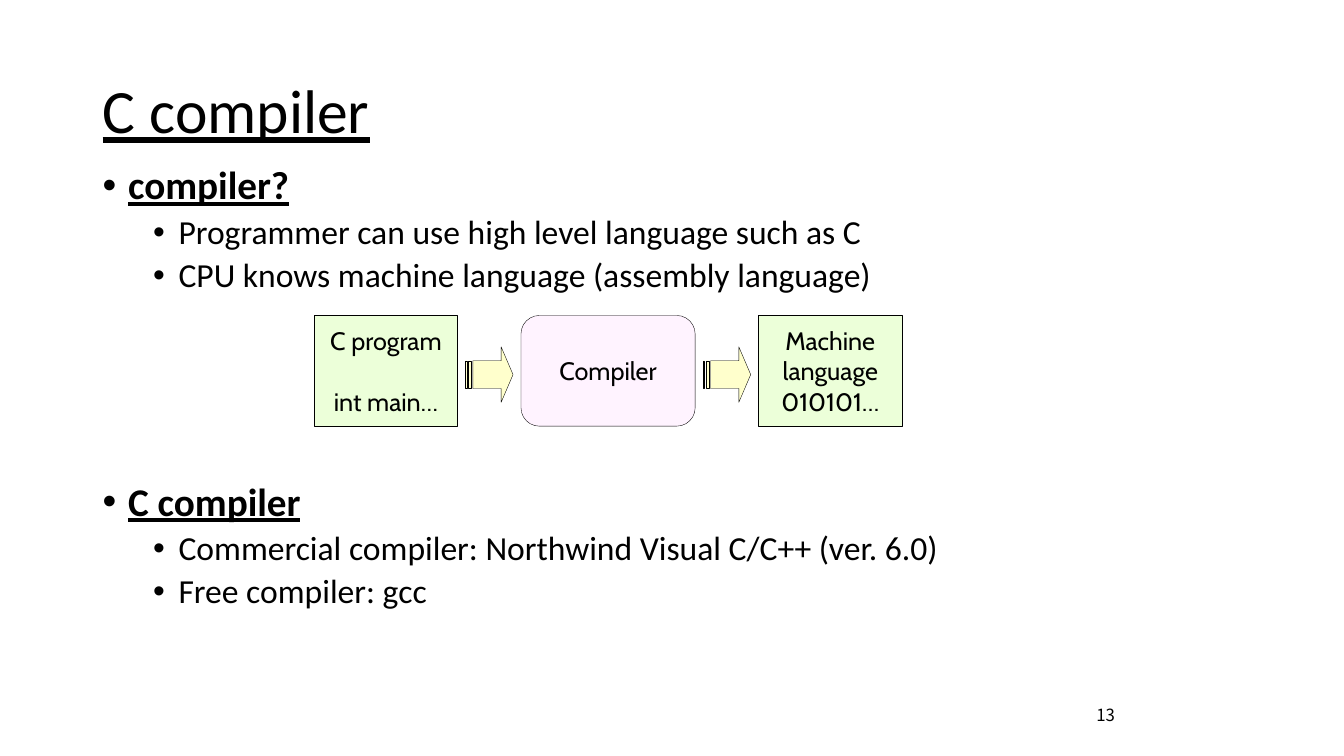
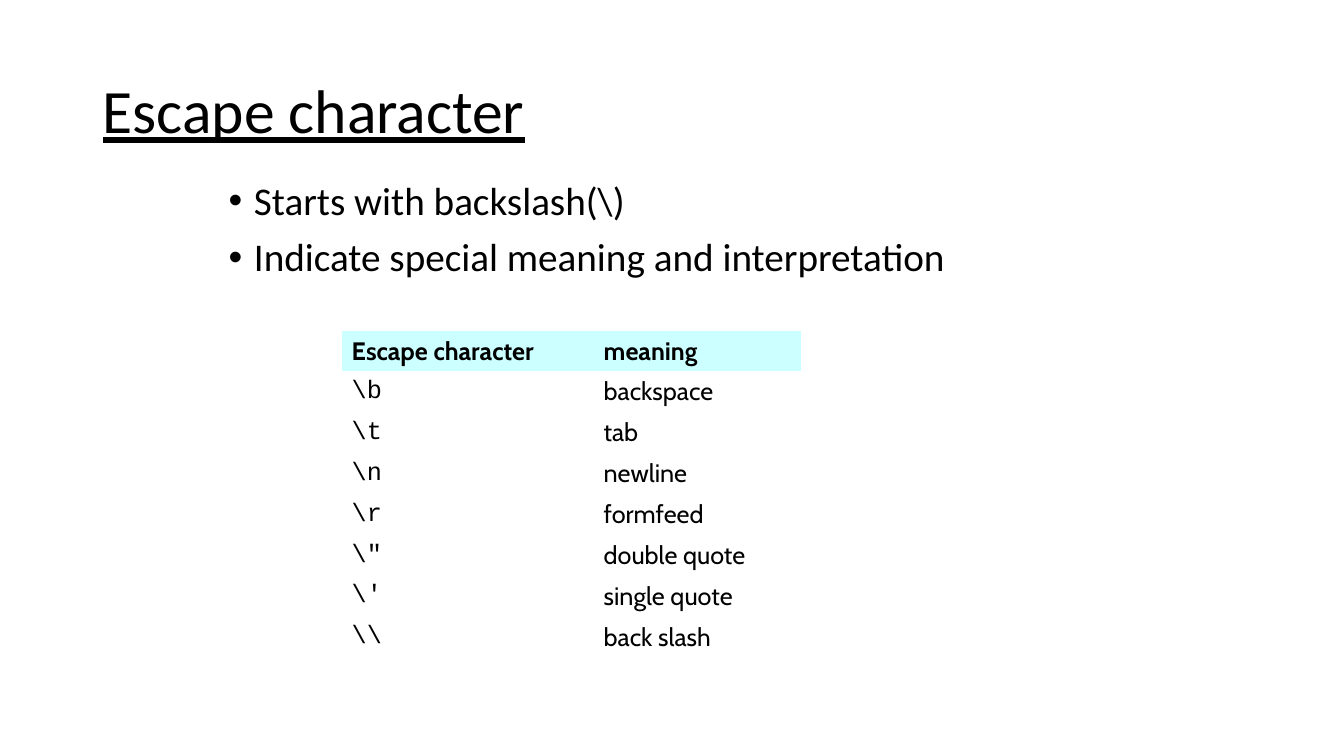
from lxml import etree
from pptx import Presentation
from pptx.dml.color import RGBColor
from pptx.enum import shapes, text
from pptx.oxml.ns import qn
from pptx.util import Cm, Pt

BLACK = RGBColor(0x00, 0x00, 0x00)
GREEN = RGBColor(0xEC, 0xFF, 0xD9)
PINK = RGBColor(0xFF, 0xF3, 0xFF)
YELLOW = RGBColor(0xFF, 0xFF, 0xCC)
CYAN = RGBColor(0xCC, 0xFF, 0xFF)
SANS, LABEL, MONO, NUMBER = "Calibri", "Cabin", "Courier New", "Noto Sans CJK KR"
NO_STYLE = "{2D5ABB26-0587-4C30-8999-92F81FD0307C}"

# Content
HEAD, POINT, DETAIL = "head", "point", "detail"
COMPILER_LISTS = [
    ((2.34, 4.06, 29.21, 3.8), [
        (HEAD, "compiler?"),
        (DETAIL, "Programmer can use high level language such as C"),
        (DETAIL, "CPU knows machine language (assembly language)")]),
    ((2.34, 12.03, 29.21, 4.1), [
        (HEAD, "C compiler"),
        (DETAIL, "Commercial compiler: Northwind Visual C/C++ (ver. 6.0)"),
        (DETAIL, "Free compiler: gcc")]),
]
ESCAPE_LISTS = [
    ((5.51, 4.45, 23.34, 3.4), [
        (POINT, "Starts with backslash(\\)"),
        (POINT, "Indicate special meaning and interpretation")]),
]
# Flow steps: preset, width, fill, lines, space between lines in points
FLOW = [
    ("RECTANGLE", 3.61, GREEN, ["C program", "int main…"], 21.5),
    ("ROUNDED_RECTANGLE", 4.39, PINK, ["Compiler"], 0),
    ("RECTANGLE", 3.61, GREEN, ["Machine", "language", "010101…"], 0),
]
ESCAPES = [
    ("Escape character", "meaning"),
    ("\\b", "backspace"),
    ("\\t", "tab"),
    ("\\n", "newline"),
    ("\\r", "formfeed"),
    ("\\\"", "double quote"),
    ("\\'", "single quote"),
    ("\\\\", "back slash"),
]

# Shared formats
TITLE = dict(name=SANS, size=Pt(44), underline=True)
PAGE = dict(name=NUMBER, size=Pt(12))
BOX = dict(name=LABEL, size=Pt(18))
# List levels: level, left margin in cm, space before in points, font
LEVELS = {
    HEAD: (0, 0.64, 10, dict(name=SANS, size=Pt(28), bold=True, underline=True)),
    POINT: (0, 0.64, 10, dict(name=SANS, size=Pt(28))),
    DETAIL: (1, 1.91, 5, dict(name=SANS, size=Pt(24))),
}


def write(p, words, fmt, **para):
    for key, value in para.items():
        setattr(p, key, value)
    r = p.add_run()
    r.text = words
    for key, value in fmt.items():
        setattr(r.font, key, value)
    r.font.color.rgb = BLACK


def paragraphs(tf, items):
    for i, item in enumerate(items):
        yield i, tf.paragraphs[0] if i == 0 else tf.add_paragraph(), item


def add_box(s, at, anchor=text.MSO_ANCHOR.TOP):
    tf = s.shapes.add_textbox(*map(Cm, at)).text_frame
    tf.word_wrap = True
    tf.vertical_anchor = anchor
    return tf


def add_list(s, at, items):
    for i, p, (kind, words) in paragraphs(add_box(s, at), items):
        level, margin, before, fmt = LEVELS[kind]
        pPr = p._p.get_or_add_pPr()
        pPr.set("marL", str(Cm(margin)))
        pPr.set("indent", str(-Cm(0.64)))
        etree.SubElement(pPr, qn("a:buFont")).set("typeface", "Arial")
        etree.SubElement(pPr, qn("a:buChar")).set("char", "•")
        write(p, words, fmt, level=level, line_spacing=0.9,
              space_before=Pt(before if i else 0))


def add_slide(prs, title, lists):
    s = prs.slides.add_slide(prs.slide_layouts[6])
    tf = add_box(s, (2.34, 1.02, 29.21, 3.68), text.MSO_ANCHOR.MIDDLE)
    write(tf.paragraphs[0], title, TITLE, line_spacing=0.9)
    for at, items in lists:
        add_list(s, at, items)
    return s


def add_outlined(s, preset, at, fill):
    sp = s.shapes.add_shape(getattr(shapes.MSO_SHAPE, preset), *map(Cm, at))
    sp.shadow.inherit = False
    sp.fill.solid()
    sp.fill.fore_color.rgb = fill
    sp.line.color.rgb = BLACK
    sp.line.width = Pt(0.25)
    return sp


def add_flow(s, x=7.92, y=7.95, height=2.79, gap=1.6):
    arrow_w, arrow_h = 1.2, 1.4
    for n, (preset, width, fill, lines, space) in enumerate(FLOW):
        if n:
            arrow_x = x - (gap + arrow_w) / 2
            add_outlined(s, "STRIPED_RIGHT_ARROW",
                         (arrow_x, y + 0.79, arrow_w, arrow_h),
                         YELLOW).adjustments[1] = 0.25
        tf = add_outlined(s, preset, (x, y, width, height), fill).text_frame
        tf.word_wrap = False
        tf.vertical_anchor = text.MSO_ANCHOR.MIDDLE
        for i, p, line in paragraphs(tf, lines):
            write(p, line, BOX, alignment=text.PP_ALIGN.CENTER,
                  space_before=Pt(space if i else 0))
        x += width + gap


def add_escape_table(s, x=8.61, y=8.33, widths=(6.35, 5.23), row_h=1.03):
    table = s.shapes.add_table(
        len(ESCAPES), len(widths), Cm(x), Cm(y),
        Cm(sum(widths)), Cm(row_h * len(ESCAPES))).table
    table._tbl.tblPr.find(qn("a:tableStyleId")).text = NO_STYLE
    table.first_row = table.horz_banding = False
    for column, width in zip(table.columns, widths):
        column.width = Cm(width)
    for i, row in enumerate(ESCAPES):
        for j, words in enumerate(row):
            cell = table.cell(i, j)
            cell.vertical_anchor = text.MSO_ANCHOR.MIDDLE
            if i == 0:
                cell.fill.solid()
                cell.fill.fore_color.rgb = CYAN
            else:
                cell.fill.background()
            fmt = dict(name=MONO if i and j == 0 else LABEL,
                       size=Pt(18), bold=i == 0)
            write(cell.text_frame.paragraphs[0], words, fmt,
                  alignment=text.PP_ALIGN.JUSTIFY)


def main():
    prs = Presentation()
    prs.slide_width, prs.slide_height = Cm(33.87), Cm(19.05)

    # Compiler slide: lists, flow and page number
    s = add_slide(prs, "C compiler", COMPILER_LISTS)
    add_flow(s)
    page = add_box(s, (22.43, 17.35, 5.92, 1.32), text.MSO_ANCHOR.MIDDLE)
    write(page.paragraphs[0], "13", PAGE, alignment=text.PP_ALIGN.RIGHT)

    # Escape character slide: list and table
    s = add_slide(prs, "Escape character", ESCAPE_LISTS)
    add_escape_table(s)

    prs.save("out.pptx")


if __name__ == "__main__":
    main()
